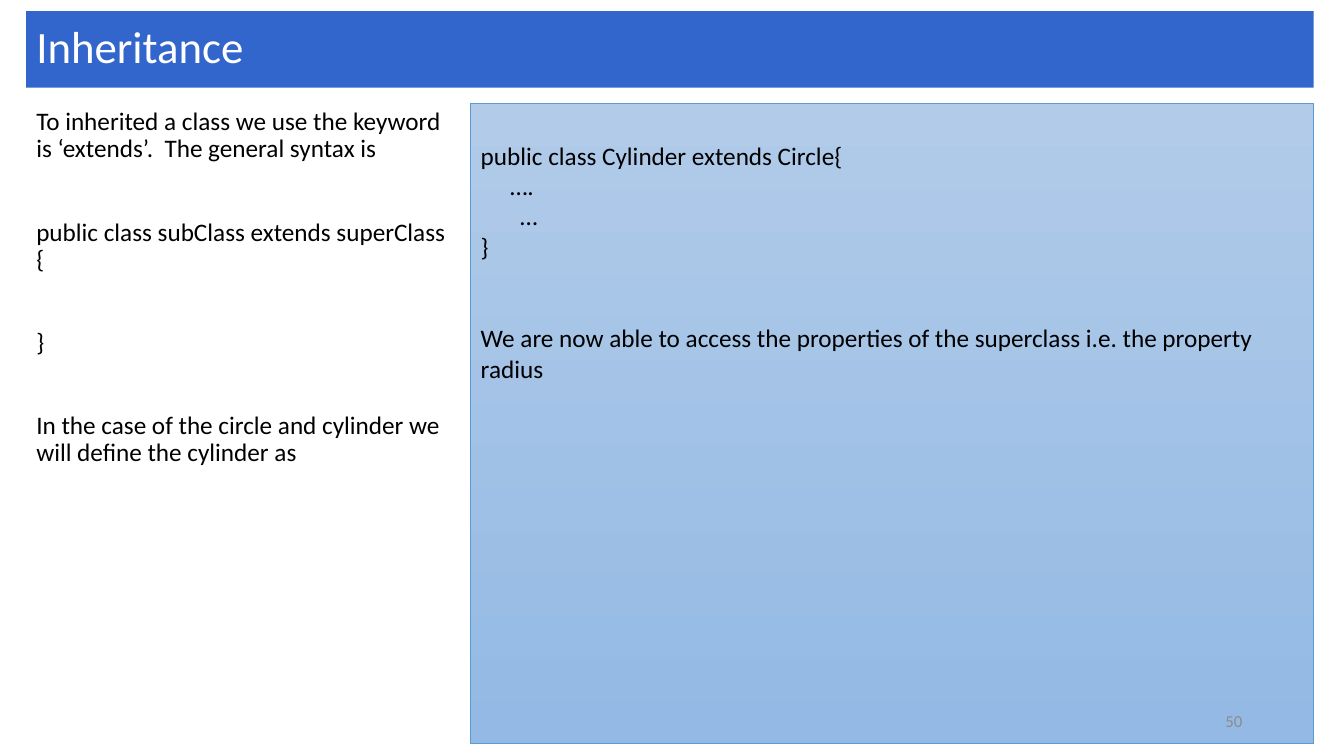
from pptx import Presentation
from pptx.dml.color import RGBColor
from pptx.enum.shapes import MSO_SHAPE
from pptx.enum.text import MSO_ANCHOR, MSO_AUTO_SIZE, PP_ALIGN
from pptx.util import Inches, Pt
from lxml.etree import SubElement
from pptx.oxml.ns import qn

HEADING = [("Inheritance", 0, 0)]
SYNTAX = [
    ("To inherited a class we use the keyword is ‘extends’.  The general syntax is", 0, 0),
    ("public class subClass extends superClass {", 40, 0),
    ("}", 40, 0),
    ("In the case of the circle and cylinder we will define the cylinder as", 40, 0),
]
EXAMPLE = [
    ("public class Cylinder extends Circle{", 0, 0),
    ("….", 0, 0.29),
    ("…", 0, 0.39),
    ("}", 0, 0),
    ("We are now able to access the properties of the superclass i.e. the property radius", 44, 0),
]
PAGE = [("50", 0, 0)]

THEME = {
    "font": "Calibri",
    "banner": "3366CC",
    "panel": ("B1CBE9", "93B9E4"),
    "outline": "5B9BD5",
    "heading": {"size": 32, "color": "FFFFFF"},
    "body": {"size": 18, "color": "000000"},
    "page": {"size": 12, "color": "8C8C8C"},
}

WIDTH, HEIGHT = 13.33, 7.5
LEFT, RIGHT = 0.26, 13.03
TOP, PANEL_LEFT = 1.03, 4.67
GUTTER = 0.1
PLACES = {
    "heading": (LEFT, 0.11, RIGHT - LEFT, 0.76),
    "syntax": (LEFT, TOP, PANEL_LEFT - GUTTER - LEFT, 6.25),
    "example": (PANEL_LEFT, TOP, RIGHT - PANEL_LEFT, 6.35),
    "page": (9.42, 6.95, 3, 0.4),
}


def apply(target, **values):
    for field, value in values.items():
        setattr(target, field, value)


def place(shape, part):
    box = map(Inches, PLACES[part])
    apply(shape, **dict(zip(("left", "top", "width", "height"), box)))


def write(shape, lines, style, anchor=MSO_ANCHOR.TOP, align=PP_ALIGN.LEFT, spacing=1.0, top=0.05):
    frame = shape.text_frame
    apply(frame, word_wrap=True, auto_size=MSO_AUTO_SIZE.NONE,
          vertical_anchor=anchor, margin_top=Inches(top))
    frame.text = "\n".join(text for text, _, _ in lines)
    for paragraph, (_, gap, indent) in zip(frame.paragraphs, lines):
        apply(paragraph, alignment=align, line_spacing=spacing,
              space_before=Pt(gap), space_after=Pt(0))
        properties = paragraph._p.get_or_add_pPr()
        properties.set("marL", str(Inches(indent)))
        properties.set("indent", "0")
        SubElement(properties, qn("a:buNone"))
        font = paragraph.runs[0].font
        apply(font, name=THEME["font"], size=Pt(THEME[style]["size"]))
        font.color.rgb = RGBColor.from_string(THEME[style]["color"])


def main():
    deck = Presentation()
    apply(deck, slide_width=Inches(WIDTH), slide_height=Inches(HEIGHT))
    slide = deck.slides.add_slide(deck.slide_layouts[1])

    heading = slide.shapes.title
    place(heading, "heading")
    heading.fill.solid()
    heading.fill.fore_color.rgb = RGBColor.from_string(THEME["banner"])
    write(heading, HEADING, "heading", anchor=MSO_ANCHOR.MIDDLE, spacing=0.9)

    syntax = slide.placeholders[1]
    place(syntax, "syntax")
    write(syntax, SYNTAX, "body", spacing=0.9)

    example = slide.shapes.add_shape(MSO_SHAPE.RECTANGLE, *map(Inches, PLACES["example"]))
    example.shadow.inherit = False
    example.fill.gradient()
    example.fill.gradient_angle = 270
    for position, (stop, color) in enumerate(zip(example.fill.gradient_stops, THEME["panel"])):
        stop.position = position
        stop.color.rgb = RGBColor.from_string(color)
    example.line.width = Pt(0.5)
    example.line.color.rgb = RGBColor.from_string(THEME["outline"])
    write(example, EXAMPLE, "body", top=0.36)

    page = slide.shapes.add_textbox(*map(Inches, PLACES["page"]))
    write(page, PAGE, "page", anchor=MSO_ANCHOR.MIDDLE, align=PP_ALIGN.RIGHT)

    deck.save("out.pptx")


if __name__ == "__main__":
    main()
